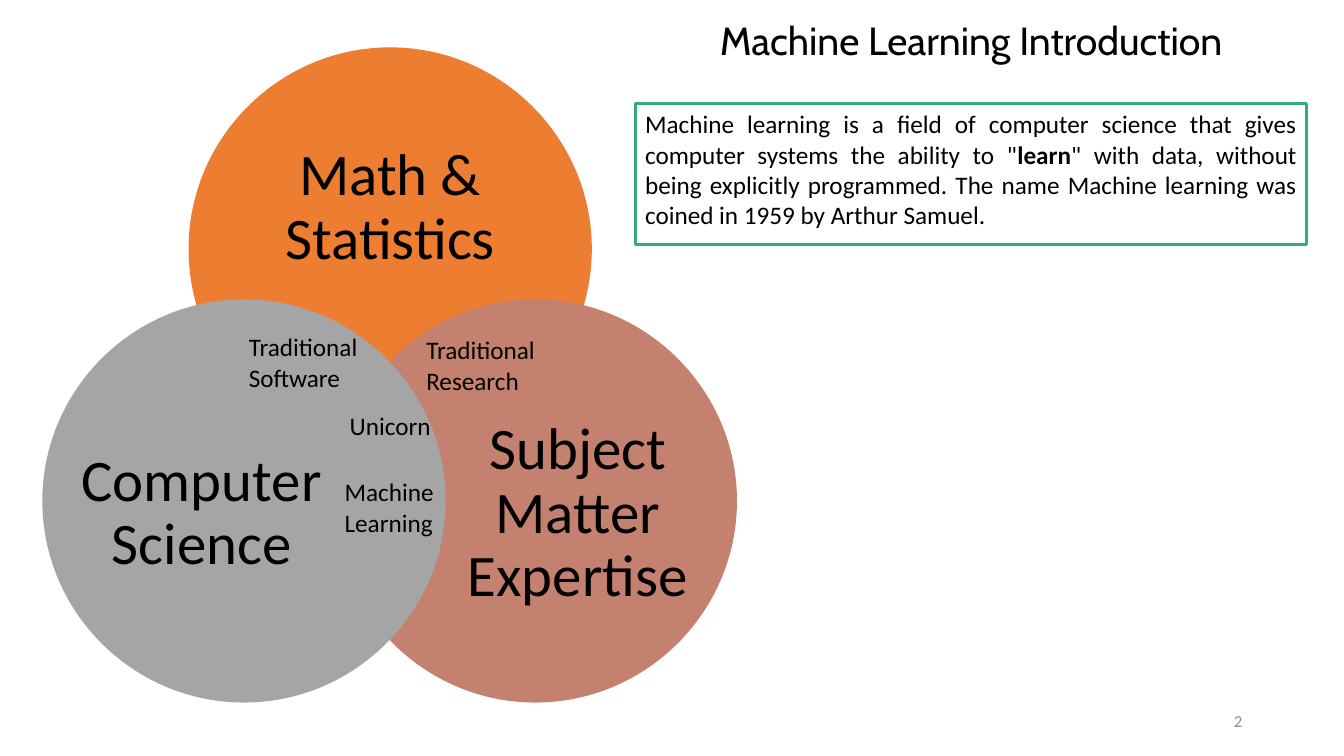
from dataclasses import dataclass

from lxml import etree
from pptx import Presentation
from pptx.dml.color import RGBColor
from pptx.enum.shapes import MSO_SHAPE
from pptx.enum.text import MSO_ANCHOR, MSO_AUTO_SIZE, PP_ALIGN
from pptx.oxml.ns import qn
from pptx.util import Inches, Pt

RECTANGLE = MSO_SHAPE.RECTANGLE
TOP, MIDDLE = MSO_ANCHOR.TOP, MSO_ANCHOR.MIDDLE
LEFT, CENTER, RIGHT, JUSTIFY = (
    PP_ALIGN.LEFT, PP_ALIGN.CENTER, PP_ALIGN.RIGHT, PP_ALIGN.JUSTIFY)
NO_FIT, GROW = MSO_AUTO_SIZE.NONE, MSO_AUTO_SIZE.SHAPE_TO_FIT_TEXT


@dataclass(frozen=True)
class Theme:
    heading_font: str = "Cabin"
    body_font: str = "Calibri"
    text: str = "000000"
    muted: str = "8C8C8C"
    border: str = "35A984"
    math: str = "ED7D31"
    subject: str = "C48170"
    computing: str = "A5A5A5"
    title_size: int = 28
    circle_size: int = 42
    body_size: int = 18
    number_size: int = 12


THEME = Theme()
TITLE_LEFT, TITLE_WIDTH = 6.3, 6.66
RADIUS = 2
ARC_RATIO = 0.55  # control distance of a quarter arc, as a part of the radius

# Name, colour, left, top, text insets (left, top, right, bottom)
CIRCLES = [
    ("Math & Statistics", THEME.math, 1.87, 0.47, (0.53, 0.7, 0.53, 1.5)),
    ("Subject Matter Expertise", THEME.subject, 3.31, 2.97,
     (1.22, 1.03, 0.38, 0.77)),
    ("Computer Science", THEME.computing, 0.42, 2.97,
     (0.38, 1.03, 1.22, 0.77)),
]

# Text, left, top, height
OVERLAPS = [
    ("Traditional Research", 4.13, 3.27, 0.71),
    ("Traditional Software", 2.37, 3.24, 0.71),
    ("Machine Learning", 3.32, 4.68, 0.71),
    ("Unicorn", 3.37, 4.02, 0.4),
]

# Text, bold
DEFINITION = [
    ('Machine learning is a field of computer science that gives computer '
     'systems the ability to "', False),
    ("learn", True),
    ('" with data, without being explicitly programmed. The name Machine '
     'learning was coined in 1959 by Arthur Samuel.', False),
]


def rgb(value):
    return RGBColor.from_string(value)


def style_run(r, size, color=THEME.text, font=THEME.body_font, bold=False):
    r.font.name = font
    r.font.size = Pt(size)
    r.font.color.rgb = rgb(color)
    r.font.bold = bold


def set_text(sp, text, size, align=LEFT, anchor=TOP, spacing=1.0,
             fit=NO_FIT, **run_style):
    tf = sp.text_frame
    tf.text = text
    tf.word_wrap = True
    tf.auto_size = fit
    tf.vertical_anchor = anchor
    p = tf.paragraphs[0]
    p.alignment = align
    p.line_spacing = spacing
    style_run(p.runs[0], size, **run_style)


def add_title(s, text):
    sp = s.shapes.title
    sp.left, sp.top = Inches(TITLE_LEFT), Inches(0.16)
    sp.width, sp.height = Inches(TITLE_WIDTH), Inches(0.61)
    set_text(sp, text, THEME.title_size, CENTER, spacing=0.9,
             font=THEME.heading_font)


def add_definition(s):
    sp = s.shapes.add_shape(RECTANGLE, Inches(TITLE_LEFT), Inches(1.03),
                            Inches(TITLE_WIDTH), Inches(1.4))
    sp.shadow.inherit = False
    sp.fill.background()
    sp.line.color.rgb = rgb(THEME.border)
    sp.line.width = Pt(2.25)
    tf = sp.text_frame
    tf.word_wrap = True
    tf.vertical_anchor = TOP
    p = tf.paragraphs[0]
    p.alignment = JUSTIFY
    for text, bold in DEFINITION:
        r = p.add_run()
        r.text = text
        style_run(r, THEME.body_size, bold=bold)


def round_corners(sp, directions):
    # Turn each straight side between neighbouring points into a quarter arc
    sides = list(sp._element.iter(qn("a:lnTo")))
    for side, (ax, ay), (bx, by) in zip(sides, directions, directions[1:]):
        arc = etree.Element(qn("a:cubicBezTo"))
        for x, y in [(ax + ARC_RATIO * bx, ay + ARC_RATIO * by),
                     (bx + ARC_RATIO * ax, by + ARC_RATIO * ay),
                     (bx, by)]:
            etree.SubElement(arc, qn("a:pt"),
                             x=str(Inches(RADIUS * (1 + x))),
                             y=str(Inches(RADIUS * (1 + y))))
        side.getparent().replace(side, arc)


def add_circle(s, name, color, left, top, insets):
    # A round outline whose text area is the full bounding square
    directions = [(-1, 0), (0, -1), (1, 0), (0, 1), (-1, 0)]
    points = [(Inches(left + RADIUS * (1 + x)), Inches(top + RADIUS * (1 + y)))
              for x, y in directions]
    builder = s.shapes.build_freeform(*points[0])
    builder.add_line_segments(points[1:], close=True)
    sp = builder.convert_to_shape()
    round_corners(sp, directions)
    sp.shadow.inherit = False
    sp.fill.solid()
    sp.fill.fore_color.rgb = rgb(color)
    sp.line.fill.background()
    set_text(sp, name, THEME.circle_size, CENTER, MIDDLE, spacing=0.9)
    tf = sp.text_frame
    tf.margin_left, tf.margin_top, tf.margin_right, tf.margin_bottom = (
        Inches(v) for v in insets)


def add_label(s, text, left, top, width, height, size, **style):
    sp = s.shapes.add_textbox(Inches(left), Inches(top),
                              Inches(width), Inches(height))
    set_text(sp, text, size, **style)


def main():
    prs = Presentation()
    prs.slide_width, prs.slide_height = Inches(13.33), Inches(7.5)
    s = prs.slides.add_slide(prs.slide_layouts[5])

    # Heading and definition
    add_definition(s)
    add_title(s, "Machine Learning Introduction")

    # Three fields and what lies in their overlaps
    for circle in CIRCLES:
        add_circle(s, *circle)
    for text, left, top, height in OVERLAPS:
        add_label(s, text, left, top, 1.33, height, THEME.body_size, fit=GROW)

    # Slide number
    add_label(s, "2", 9.42, 6.95, 3, 0.4, THEME.number_size,
              align=RIGHT, anchor=MIDDLE, color=THEME.muted)

    prs.save("out.pptx")


if __name__ == "__main__":
    main()
